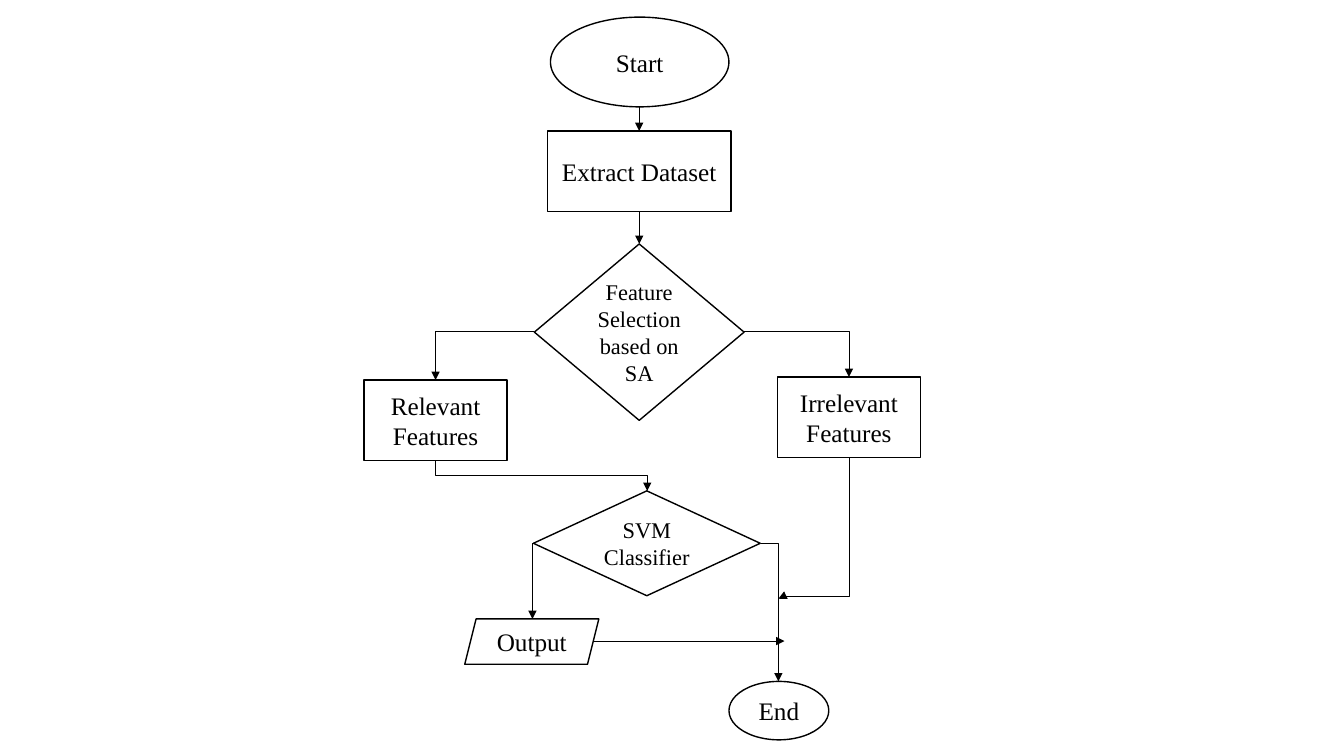
from pptx import Presentation
from pptx import util as u
from pptx.dml.color import RGBColor
from pptx.enum import shapes, text
from pptx.oxml.ns import qn
from lxml import etree

HUES = {"ink": "000000", "paper": "FFFFFF"}
FONT = {"name": "Times New Roman", "bold": False}
FRAME = {"word_wrap": True, "vertical_anchor": text.MSO_ANCHOR.MIDDLE}
FORM = shapes.MSO_SHAPE
LEFT = {"rot": "10800000", "flipV": "1"}
DOWN_LEFT = {"rot": "5400000"}
DOWN_RIGHT = {"rot": "16200000", "flipH": "1"}


def hue(name):
    return RGBColor.from_string(HUES[name])


def style(item, values):
    for key, value in values.items():
        setattr(item, key, value)


def node(slide, box, form, at, words, size=18):
    """Outlined shape with centred text, placed relative to box."""
    x, y, w, h = at
    item = slide.shapes.add_shape(form, u.Inches(box[0] + x), u.Inches(box[1] + y),
                                  u.Inches(w), u.Inches(h))
    item.shadow.inherit = False
    item.fill.solid()
    item.fill.fore_color.rgb = hue("paper")
    item.line.color.rgb = hue("ink")
    item.line.width = u.Pt(1)
    style(item.text_frame, FRAME)
    para = item.text_frame.paragraphs[0]
    para.alignment = text.PP_ALIGN.CENTER
    run = para.add_run()
    run.text = words
    style(run.font, {**FONT, "size": u.Pt(size)})
    run.font.color.rgb = hue("ink")


def link(slide, box, start, end, kind="line", turn=None, bend=None):
    """Arrow from start to end; turn holds the rotation and flip of a bent one."""
    turn = turn or {}
    x, y = (box[i] + min(start[i], end[i]) for i in (0, 1))
    w, h = (abs(end[i] - start[i]) for i in (0, 1))
    if turn in (DOWN_LEFT, DOWN_RIGHT):  # quarter turn swaps the sides
        x, y, w, h = x + (w - h) / 2, y + (h - w) / 2, h, w
    item = slide.shapes.add_connector(
        shapes.MSO_CONNECTOR.STRAIGHT, u.Inches(x), u.Inches(y),
        u.Inches(x + w), u.Inches(y + h))
    item.line.color.rgb = hue("ink")
    item.line.width = u.Pt(0.5)
    props = item.element.spPr
    for key, value in turn.items():
        props.find(qn("a:xfrm")).set(key, value)
    geom = props.find(qn("a:prstGeom"))
    geom.set("prst", kind)
    if bend:
        guide = etree.SubElement(geom.find(qn("a:avLst")), qn("a:gd"))
        guide.set("name", "adj1")
        guide.set("fmla", f"val {bend}")
    tip = etree.SubElement(props.find(qn("a:ln")), qn("a:tailEnd"))
    tip.set("type", "triangle")
    etree.SubElement(props, qn("a:effectLst"))


def intake(slide, box):
    mid = box[2] / 2
    node(slide, box, FORM.OVAL, (0.03, 0, 1.77, 0.89), "Start")
    node(slide, box, FORM.RECTANGLE, (0, 1.13, 1.82, 0.8), "Extract Dataset")
    for top, foot in ((0.89, 1.13), (1.93, 2.25)):
        link(slide, box, (mid, top), (mid, foot))


def split(slide, box):
    node(slide, box, FORM.DIAMOND, (1.69, 0, 2.08, 1.75),
         "Feature Selection based on SA", 16)
    node(slide, box, FORM.RECTANGLE, (4.1, 1.32, 1.42, 0.8), "Irrelevant Features")
    node(slide, box, FORM.RECTANGLE, (0, 1.35, 1.42, 0.8), "Relevant Features")
    # Branches out of the diamond
    link(slide, box, (3.77, 0.87), (4.81, 1.32), "bentConnector2")
    link(slide, box, (1.69, 0.87), (0.71, 1.35), "bentConnector2", LEFT)
    # Ways on to the classifier and the end
    link(slide, box, (0.71, 2.15), (2.81, 2.45), "bentConnector3", DOWN_RIGHT, 50000)
    link(slide, box, (4.81, 2.12), (4.11, 3.52), "bentConnector3", DOWN_LEFT, 98100)


def finish(slide, box):
    node(slide, box, FORM.DIAMOND, (0.68, 0, 2.25, 1.04), "SVM Classifier", 16)
    node(slide, box, FORM.PARALLELOGRAM, (0, 1.27, 1.33, 0.45), "Output")
    node(slide, box, FORM.OVAL, (2.62, 1.89, 0.99, 0.58), "End")
    link(slide, box, (0.68, 0.52), (0.67, 1.27), "bentConnector2", LEFT)
    link(slide, box, (2.94, 0.52), (3.11, 1.89), "bentConnector2")
    link(slide, box, (1.28, 1.49), (3.17, 1.49))


deck = Presentation()
style(deck, {"slide_width": u.Inches(13.33), "slide_height": u.Inches(7.5)})
page = deck.slides.add_slide(deck.slide_layouts[6])
intake(page, (5.43, 0.17, 1.82, 2.25))
split(page, (3.61, 2.42, 5.52, 2.15))
finish(page, (4.61, 4.87, 3.61, 2.47))
deck.save("out.pptx")
